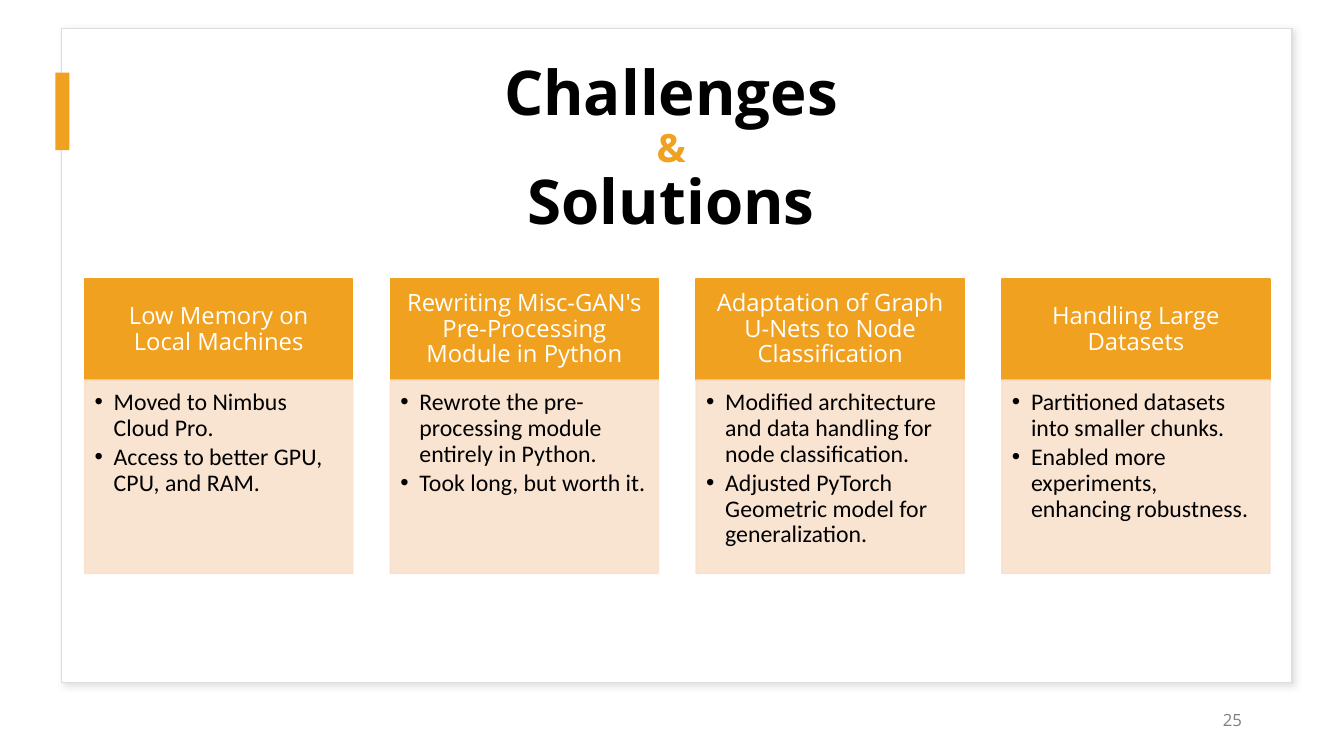
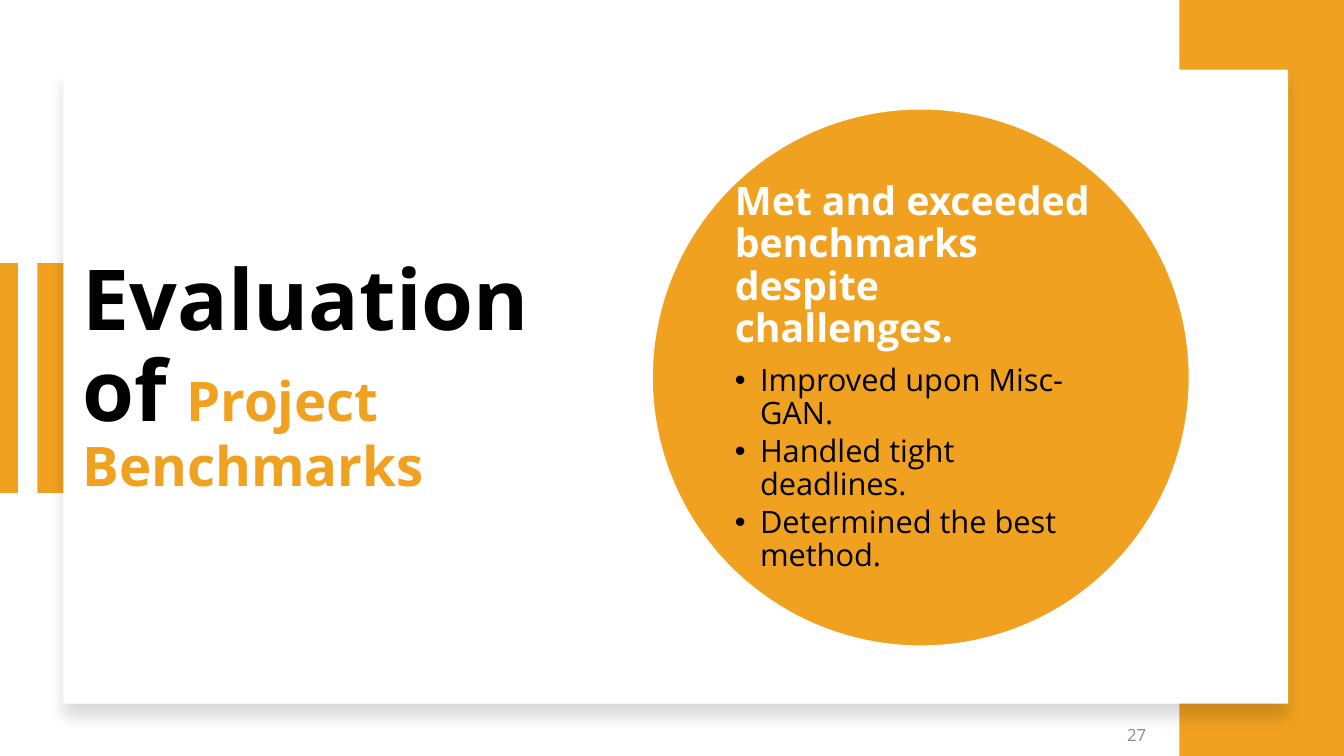
import pptx
import pptx.util
import pptx.dml.color
import pptx.oxml.ns
import pptx.enum.shapes
import pptx.enum.text
from lxml import etree

SHAPE = pptx.enum.shapes.MSO_SHAPE
ALIGN = pptx.enum.text.PP_ALIGN
ANCHOR = pptx.enum.text.MSO_ANCHOR
qn = pptx.oxml.ns.qn

# Shared style; lengths are px, 100 to the inch
PX = 9144
COLORS = {"orange": "F0A11F", "peach": "F9E0CD", "white": "FFFFFF", "black": "000000",
          "frame": "DEDEDE", "haze": "C5C3C3", "number": "808080", "number light": "8C8C8C"}
HEAD_FONT, LIST_FONT = "Open Sans", "Calibri"

# Content
CHALLENGE_TITLE = [("Challenges", 44.1, "black"), ("&", 27.9, "orange"),
                   ("Solutions", 44.1, "black")]
CHALLENGES = [
    ("Low Memory on Local Machines",
     ["Moved to Nimbus Cloud Pro.", "Access to better GPU, CPU, and RAM."]),
    ("Rewriting Misc-GAN's Pre-Processing Module in Python",
     ["Rewrote the pre-processing module entirely in Python.", "Took long, but worth it."]),
    ("Adaptation of Graph U-Nets to Node Classification",
     ["Modified architecture and data handling for node classification.",
      "Adjusted PyTorch Geometric model for generalization."]),
    ("Handling Large Datasets",
     ["Partitioned datasets into smaller chunks.",
      "Enabled more experiments, enhancing robustness."]),
]
EVALUATION_TITLE = [("Evaluation of", 60, "black"), (" ", 52, "black"),
                    ("Project Benchmarks", 39, "orange")]
RESULT = "Met and exceeded benchmarks despite challenges."
RESULT_POINTS = ["Improved upon Misc-GAN.", "Handled tight deadlines.",
                 "Determined the best method."]


def px(*values):
    return [round(v * PX) for v in values]


def rgb(name):
    return pptx.dml.color.RGBColor.from_string(COLORS[name])


def set_alpha(color_format, percent):
    clr = color_format.find(".//" + qn("a:srgbClr"))
    etree.SubElement(clr, qn("a:alpha"), val=str(percent * 1000))


def add_box(s, box, fill, line=None, kind=SHAPE.RECTANGLE, alpha=None, shadow=None):
    """shadow is colour, opacity %, blur pt, distance pt, angle."""
    sp = s.shapes.add_shape(kind, *px(*box))
    sp.shadow.inherit = False
    sp.fill.solid()
    sp.fill.fore_color.rgb = rgb(fill)
    if line:
        sp.line.color.rgb = rgb(line)
        sp.line.width = pptx.util.Pt(1)
    else:
        sp.line.fill.background()
    sp_pr = sp.element.spPr
    if alpha:
        set_alpha(sp_pr.find(qn("a:solidFill")), alpha)
        set_alpha(sp_pr.find(qn("a:ln")), alpha)
    if shadow:
        color, opacity, blur, dist, angle = shadow
        outer = etree.SubElement(sp_pr.find(qn("a:effectLst")), qn("a:outerShdw"),
                                 blurRad=str(blur * 12700), dist=str(dist * 12700),
                                 dir=str(angle * 60000), algn="tl", rotWithShape="0")
        etree.SubElement(outer, qn("a:srgbClr"), val=COLORS[color])
        set_alpha(outer, opacity)
    return sp


def text_frame(sp, anchor=ANCHOR.MIDDLE, inset=(10, 5, 10, 5)):
    tf = sp.text_frame
    tf.word_wrap = True
    tf.auto_size = pptx.enum.text.MSO_AUTO_SIZE.NONE
    tf.vertical_anchor = anchor
    tf.margin_left, tf.margin_top, tf.margin_right, tf.margin_bottom = px(*inset)
    return tf


def write(tf, text, size=17, color="black", font=HEAD_FONT, bold=False,
          align=ALIGN.LEFT, after=0, bullet=0):
    """Add a paragraph; text is a string or a list of (text, size, colour) runs."""
    p = tf.add_paragraph() if tf.text else tf.paragraphs[0]
    p.alignment = align
    p.line_spacing = 0.9
    p.space_before = pptx.util.Pt(0)
    p.space_after = pptx.util.Pt(after)
    p_pr = p._p.get_or_add_pPr()
    p_pr.set("marL", str(bullet * PX))
    p_pr.set("indent", str(-bullet * PX))
    if bullet:
        etree.SubElement(p_pr, qn("a:buFont"), typeface="Arial")
        etree.SubElement(p_pr, qn("a:buChar"), char="•")
    else:
        etree.SubElement(p_pr, qn("a:buNone"))
    runs = [(text, size, color)] if isinstance(text, str) else text
    for run_text, run_size, run_color in runs:
        r = p.add_run()
        r.text = run_text
        r.font.size = pptx.util.Pt(run_size)
        r.font.name = font
        r.font.bold = bold
        r.font.color.rgb = rgb(run_color)


def place(s, ph, box, **frame):
    """Move a placeholder to its box, in front of the shapes so far."""
    ph.left, ph.top, ph.width, ph.height = px(*box)
    s.shapes.element.append(ph.element)
    return text_frame(ph, **frame)


def add_number(s, number, box, color):
    tf = text_frame(s.shapes.add_textbox(*px(*box)))
    write(tf, number, size=12, color=color, align=ALIGN.RIGHT, after=6)


def build_challenges(prs):
    s = prs.slides.add_slide(prs.slide_layouts[5])
    add_box(s, (61, 28, 1221, 649), "white", "frame", shadow=("haze", 50, 4, 3, 45))
    tf = place(s, s.shapes.title, (330, 54, 672, 189))
    for line in CHALLENGE_TITLE:
        write(tf, [line], bold=True, align=ALIGN.CENTER)
    add_box(s, (55, 72, 14, 77), "orange")
    add_number(s, "25", (942, 695, 300, 40), "number")

    # Cards: equal gaps between the left and right edges
    left, right, width = 84, 1260, 266
    pitch = (right - left - width) / (len(CHALLENGES) - 1)
    for i, (heading, points) in enumerate(CHALLENGES):
        x = left + i * pitch
        head = add_box(s, (x, 277, width, 100), "orange", "orange")
        write(text_frame(head, inset=(13, 8, 13, 8)), heading, color="white",
              align=ALIGN.CENTER)
        body = add_box(s, (x, 377, width, 192), "peach", "peach", alpha=90)
        tf = text_frame(body, anchor=ANCHOR.TOP, inset=(10, 10, 13, 15))
        for point in points:
            write(tf, point, font=LIST_FONT, after=2.6, bullet=19)


def build_evaluation(prs):
    s = prs.slides.add_slide(prs.slide_layouts[1])
    body = s.placeholders[1]

    # Accent bars behind the white panel
    add_box(s, (37, 261, 34, 228), "orange")
    bar = s.shapes.add_connector(pptx.enum.shapes.MSO_CONNECTOR.STRAIGHT,
                                 *px(8, 261, 8, 489))
    bar.line.color.rgb = rgb("orange")
    bar.line.width = pptx.util.Pt(14)
    etree.SubElement(bar.element.spPr, qn("a:effectLst"))
    add_box(s, (1170, 0, 163.33, 750), "orange")
    add_box(s, (63, 69, 1215, 629), "white", shadow=("black", 15, 11, 10, 90))

    tf = place(s, s.shapes.title, (72, 261, 517, 229))
    write(tf, EVALUATION_TITLE, bold=True)
    add_number(s, "27", (942, 710, 205, 40), "number light")

    # Result circle
    add_box(s, (647, 108, 533, 533), "orange", "white", kind=SHAPE.OVAL)
    tf = place(s, body, (725, 186, 377, 377), inset=(4, 4, 4, 4))
    write(tf, RESULT, size=28, color="white", bold=True, after=9.8)
    for point in RESULT_POINTS:
        write(tf, point, size=22, after=3.3, bullet=25)


def main():
    prs = pptx.Presentation()
    prs.slide_width, prs.slide_height = px(1333.33, 750)
    build_challenges(prs)
    build_evaluation(prs)
    prs.save("out.pptx")


if __name__ == "__main__":
    main()
